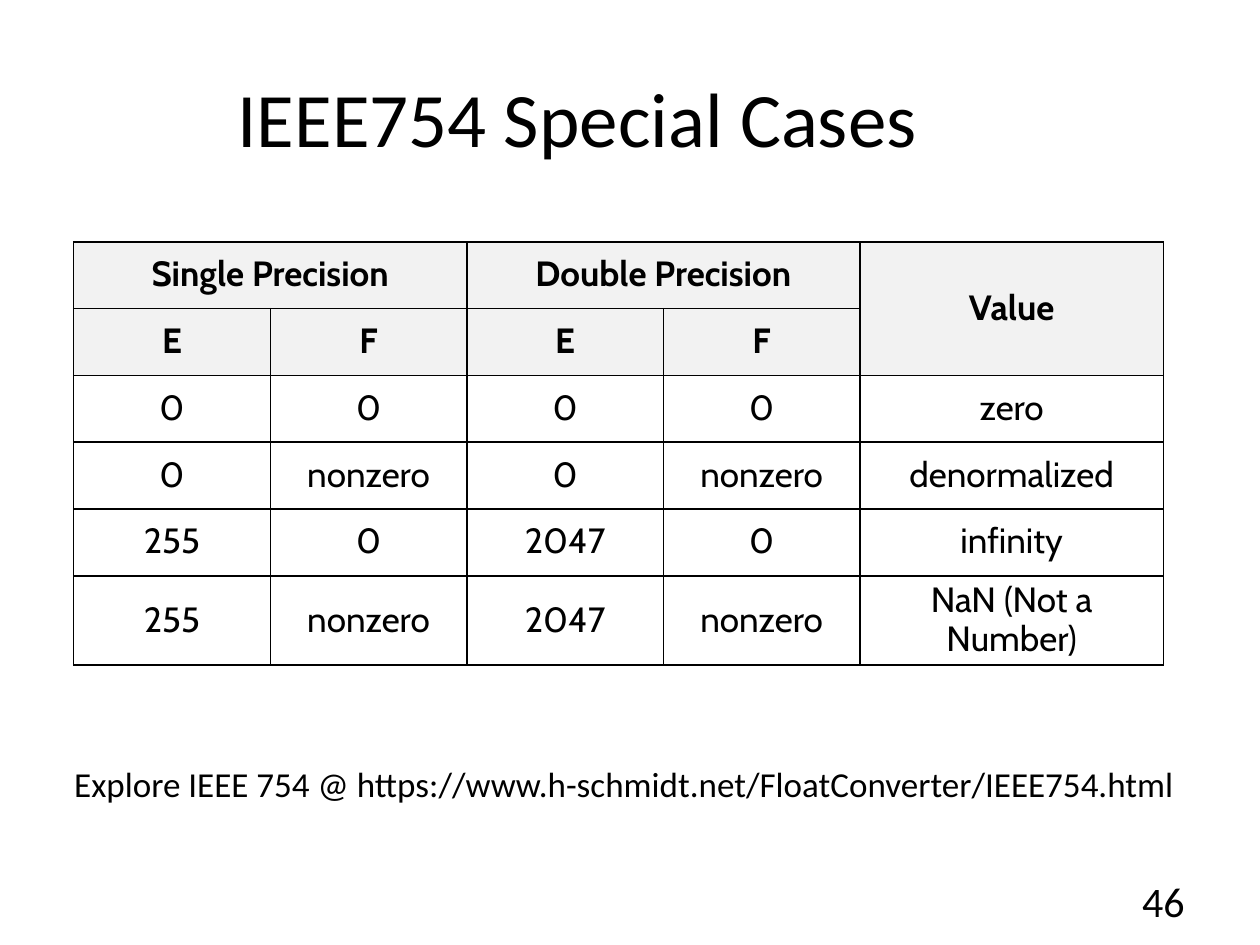
"""Build the slide on IEEE754 special cases."""
from dataclasses import dataclass

import lxml.etree
import pptx
import pptx.dml.color
import pptx.enum.text
import pptx.oxml.ns
import pptx.util

WIDE, HIGH = pptx.util.Inches(10), pptx.util.Inches(7.5)
ALIGN = pptx.enum.text.PP_ALIGN
MIDDLE = pptx.enum.text.MSO_ANCHOR.MIDDLE
INK, SHADE = "000000", "F2F2F2"
HEADS = 2
COLS = [1.56] * 4 + [2.41]
ROWS = [0.53] * 5 + [0.7]
CELLS = [
    ["Single Precision", "", "Double Precision", "", "Value"],
    ["E", "F", "E", "F", ""],
    ["0", "0", "0", "0", "zero"],
    ["0", "nonzero", "0", "nonzero", "denormalized"],
    ["255", "0", "2047", "0", "infinity"],
    ["255", "nonzero", "2047", "nonzero", "NaN (Not a Number)"],
]
SPANS = [((0, 0), (0, 1)), ((0, 2), (0, 3)), ((0, 4), (1, 4))]


@dataclass
class Area:
    """Hold a place as percent of the slide's size."""
    left: float
    top: float
    width: float
    height: float

    def frame(self) -> list[int]:
        """Return left, top, width and height in slide units."""
        return [int(WIDE * self.left / 100), int(HIGH * self.top / 100),
                int(WIDE * self.width / 100), int(HIGH * self.height / 100)]


@dataclass
class Label:
    """Describe one line of free text."""
    text: str
    area: Area
    size: int
    align: ALIGN
    wrap: bool = True


LABELS = [
    Label("IEEE754 Special Cases", Area(5, 4, 81.7, 16.67), 44, ALIGN.CENTER),
    Label("46", Area(83.3, 92.67, 11.7, 5.33), 24, ALIGN.RIGHT),
    Label("Explore IEEE 754 @ https://www.h-schmidt.net/FloatConverter/IEEE754.html",
          Area(4.9, 80, 90.1, 5.87), 20, ALIGN.LEFT, False),
]
GRID = Area(5.85, 25.6, 86.5, 44.67)


def color(code: str) -> pptx.dml.color.RGBColor:
    """Turn a hex string into a colour."""
    return pptx.dml.color.RGBColor.from_string(code)


def style(para, face: str, size: int, align: ALIGN, bold: bool = False) -> None:
    """Format a paragraph and its runs."""
    para.alignment = align
    for run in para.runs:
        run.font.name = face
        run.font.size = pptx.util.Pt(size)
        run.font.bold = bold
        run.font.color.rgb = color(INK)


def write(slide, label: Label) -> None:
    """Draw one label as a text box."""
    frame = slide.shapes.add_textbox(*label.area.frame()).text_frame
    frame.word_wrap = label.wrap
    frame.vertical_anchor = MIDDLE
    frame.text = label.text
    style(frame.paragraphs[0], "Calibri", label.size, label.align)


def border(cell) -> None:
    """Rule all four sides of a cell."""
    props = cell._tc.get_or_add_tcPr()
    name = pptx.oxml.ns.qn
    for side in ("a:lnL", "a:lnR", "a:lnT", "a:lnB"):
        line = lxml.etree.SubElement(props, name(side), w=str(pptx.util.Pt(1)))
        fill = lxml.etree.SubElement(line, name("a:solidFill"))
        lxml.etree.SubElement(fill, name("a:srgbClr"), val=INK)


def fill_cell(cell, text: str, head: bool) -> None:
    """Set the text, rules and fill of a cell."""
    border(cell)
    if head:
        cell.fill.solid()
        cell.fill.fore_color.rgb = color(SHADE)
    else:
        cell.fill.background()
    cell.vertical_anchor = MIDDLE
    cell.text_frame.text = text
    para = cell.text_frame.paragraphs[0]
    para.line_spacing = 0.9
    style(para, "Cabin", 20, ALIGN.CENTER, head)


def draw_table(slide) -> None:
    """Draw the table of special cases."""
    shape = slide.shapes.add_table(len(ROWS), len(COLS), *GRID.frame())
    table = shape.table
    table.first_row = table.horz_banding = False
    for col, width in zip(table.columns, COLS):
        col.width = pptx.util.Inches(width)
    for row, height in zip(table.rows, ROWS):
        row.height = pptx.util.Inches(height)
    for r, texts in enumerate(CELLS):
        for c, text in enumerate(texts):
            fill_cell(table.cell(r, c), text, r < HEADS)
    for start, end in SPANS:
        table.cell(*start).merge(table.cell(*end))


def main() -> None:
    """Build and save the slide."""
    deck = pptx.Presentation()
    deck.slide_width, deck.slide_height = WIDE, HIGH
    slide = deck.slides.add_slide(deck.slide_layouts[6])
    draw_table(slide)
    for label in LABELS:
        write(slide, label)
    deck.save("out.pptx")


if __name__ == "__main__":
    main()
